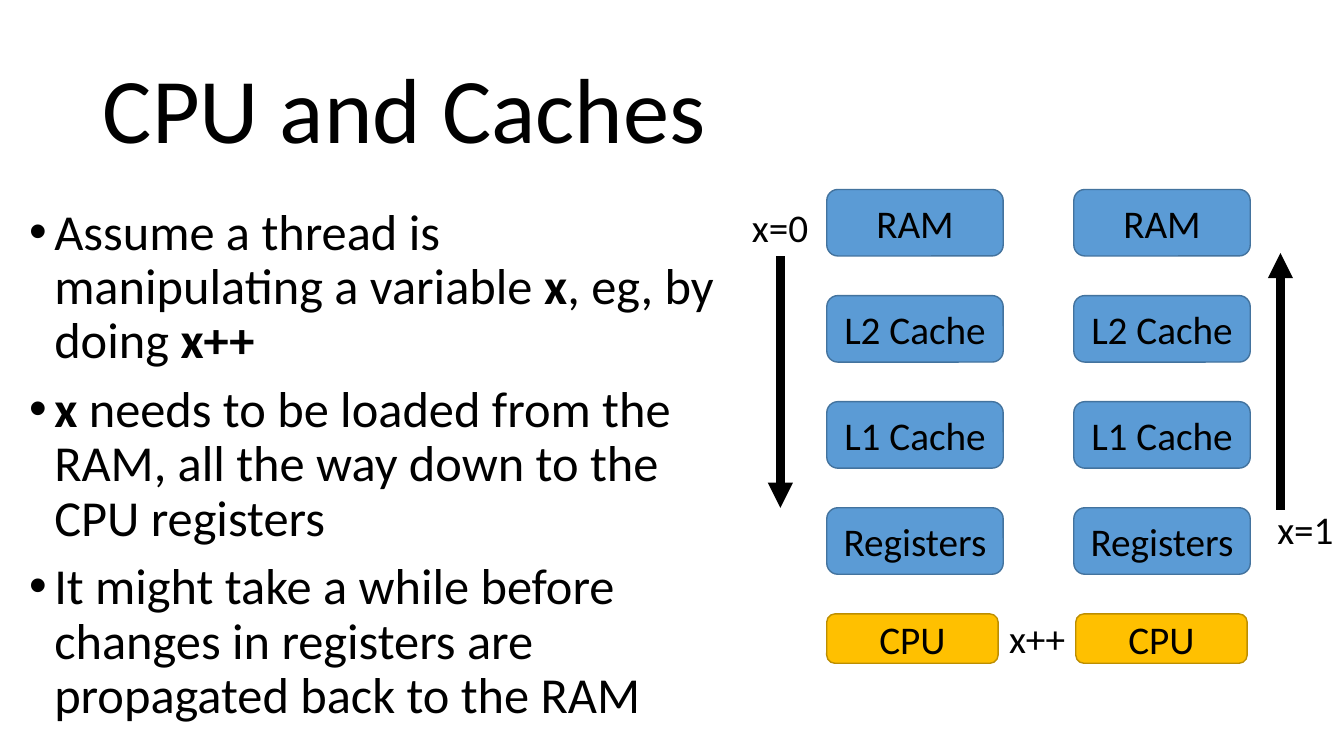
import pptx
import pptx.util
import pptx.dml.color
import pptx.enum.shapes
import pptx.enum.text
import pptx.oxml
import pptx.oxml.ns

Inches, Pt = pptx.util.Inches, pptx.util.Pt
ALIGN = pptx.enum.text.PP_ALIGN
ANCHOR = pptx.enum.text.MSO_ANCHOR
FONT = "Calibri"
COLORS = {
    "ink": "000000",
    "memory": "5B9BD5",
    "memory_edge": "43739E",
    "cpu": "FFC000",
    "cpu_edge": "BD8E00",
}
LEVELS = ["RAM", "L2 Cache", "L1 Cache", "Registers"]
# Each bullet is a list of (text, bold) runs.
BULLETS = [
    [("Assume a thread is manipulating a variable ", False), ("x", True),
     (", eg, by doing ", False), ("x++", True)],
    [("x", True), (" needs to be loaded from the RAM, all the way down to "
                   "the CPU registers", False)],
    [("It might take a while before changes in registers are propagated "
      "back to the RAM", False)],
]


def rgb(name):
    return pptx.dml.color.RGBColor.from_string(COLORS[name])


def add_run(p, text, size, bold=False):
    r = p.add_run()
    r.text = text
    r.font.name = FONT
    r.font.size = Pt(size)
    r.font.bold = bold
    r.font.color.rgb = rgb("ink")


def add_title(s, box):
    title = s.shapes.title
    title.left, title.top, title.width, title.height = map(Inches, box)
    tf = title.text_frame
    tf.auto_size = pptx.enum.text.MSO_AUTO_SIZE.NONE
    tf.vertical_anchor = ANCHOR.MIDDLE
    p = tf.paragraphs[0]
    p.alignment = ALIGN.LEFT
    p.line_spacing = 0.9
    add_run(p, "CPU and Caches", 66)


def add_bullets(s, box):
    tf = s.shapes.add_textbox(*map(Inches, box)).text_frame
    tf.word_wrap = True
    for i, runs in enumerate(BULLETS):
        p = tf.add_paragraph() if i else tf.paragraphs[0]
        p.line_spacing = 0.9
        p.space_before = Pt(10)
        for text, bold in runs:
            add_run(p, text, 36, bold)
        pPr = p._p.get_or_add_pPr()
        pPr.set("marL", str(Inches(0.25)))
        pPr.set("indent", str(Inches(-0.25)))
        ns = pptx.oxml.ns.nsdecls("a")
        pPr.append(pptx.oxml.parse_xml(f'<a:buFont {ns} typeface="Arial"/>'))
        pPr.append(pptx.oxml.parse_xml(f'<a:buChar {ns} char="•"/>'))


def add_block(s, text, box, kind):
    sp = s.shapes.add_shape(
        pptx.enum.shapes.MSO_SHAPE.ROUNDED_RECTANGLE, *map(Inches, box))
    sp.shadow.inherit = False
    sp.fill.solid()
    sp.fill.fore_color.rgb = rgb(kind)
    sp.line.color.rgb = rgb(kind + "_edge")
    sp.line.width = Pt(1)
    tf = sp.text_frame
    tf.word_wrap = True
    tf.vertical_anchor = ANCHOR.MIDDLE
    p = tf.paragraphs[0]
    p.alignment = ALIGN.CENTER
    add_run(p, text, 28)


def add_label(s, text, x, y):
    tf = s.shapes.add_textbox(*map(Inches, (x, y, 0.77, 0.57))).text_frame
    tf.word_wrap = False
    tf.auto_size = pptx.enum.text.MSO_AUTO_SIZE.SHAPE_TO_FIT_TEXT
    add_run(tf.paragraphs[0], text, 28)


def add_arrow(s, x, y_from, y_to):
    line = s.shapes.add_connector(
        pptx.enum.shapes.MSO_CONNECTOR.STRAIGHT,
        *map(Inches, (x, y_from, x, y_to)))
    line.line.color.rgb = rgb("ink")
    line.line.width = Pt(6)
    ns = pptx.oxml.ns.nsdecls("a")
    line.line._get_or_add_ln().append(
        pptx.oxml.parse_xml(f'<a:tailEnd {ns} type="triangle"/>'))
    line._element.spPr.append(pptx.oxml.parse_xml(f"<a:effectLst {ns}/>"))


def add_memory_diagram(s, box):
    """Two memory stacks, loading on the left and writing back on the right."""
    left, top, width, height = box
    block_w, block_h, cpu_w, cpu_h = 1.75, 0.66, 1.7, 0.49
    row = (height - cpu_h) / len(LEVELS)
    right = left + width - block_w
    cpu_top = top + row * len(LEVELS)
    registers_top = cpu_top - row

    for x, cpu_x in ((left, left), (right, right + 0.02)):
        for i, level in enumerate(LEVELS):
            add_block(s, level, (x, top + i * row, block_w, block_h), "memory")
        add_block(s, "CPU", (cpu_x, cpu_top, cpu_w, cpu_h), "cpu")

    add_arrow(s, left - 0.46, top + block_h, registers_top)
    add_arrow(s, left + width + 0.3, registers_top + 0.02, top + 0.63)
    add_label(s, "x=0", left - 0.84, top + 0.09)
    add_label(s, "x++", left + cpu_w + 0.01, cpu_top - 0.04)
    add_label(s, "x=1", left + width + 0.17, registers_top - 0.07)


def main():
    prs = pptx.Presentation()
    prs.slide_width, prs.slide_height = Inches(13.33), Inches(7.5)
    s = prs.slides.add_slide(prs.slide_layouts[5])
    add_title(s, (0.92, 0.4, 11.5, 1.45))
    add_bullets(s, (0.19, 2, 7, 5.34))
    add_memory_diagram(s, (8.2, 1.88, 4.2, 4.7))
    prs.save("out.pptx")


if __name__ == "__main__":
    main()
